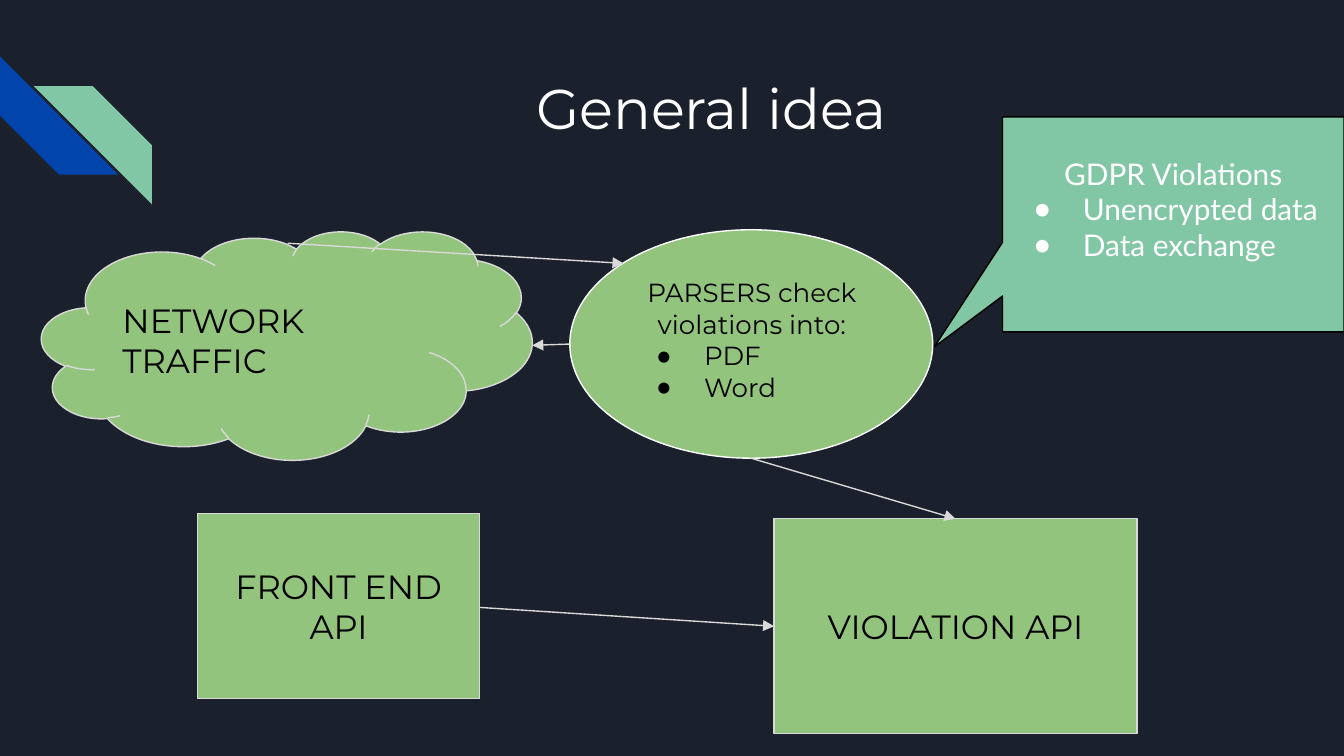
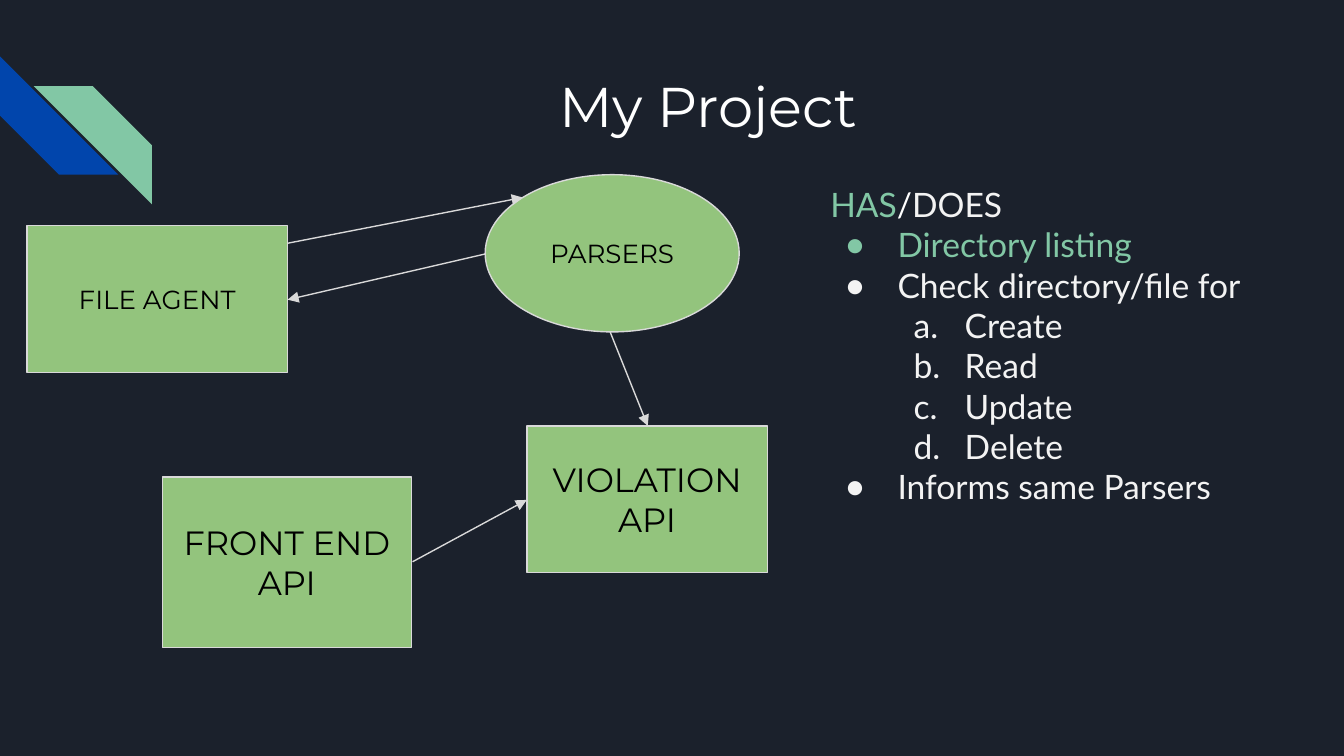
from lxml import etree
from pptx import Presentation
from pptx.dml.color import RGBColor
from pptx.enum.shapes import MSO_CONNECTOR, MSO_SHAPE
from pptx.enum.text import MSO_ANCHOR, PP_ALIGN
from pptx.oxml.ns import qn
from pptx.util import Inches, Pt

RECTANGLE, OVAL, CLOUD = MSO_SHAPE.RECTANGLE, MSO_SHAPE.OVAL, MSO_SHAPE.CLOUD
CALLOUT, STRIPE = MSO_SHAPE.RECTANGULAR_CALLOUT, MSO_SHAPE.DIAGONAL_STRIPE
STRAIGHT = MSO_CONNECTOR.STRAIGHT
LEFT, CENTER, JUSTIFY = PP_ALIGN.LEFT, PP_ALIGN.CENTER, PP_ALIGN.JUSTIFY
TOP, MIDDLE = MSO_ANCHOR.TOP, MSO_ANCHOR.MIDDLE

NIGHT, BLUE, MINT, GREEN = "1B212C", "0145AC", "82C7A5", "93C47D"
GREY, PALE, WHITE, BLACK = "D9D9D9", "F3F3F3", "FFFFFF", "000000"
HEADING_FONT, BODY_FONT = "Montserrat", "Lato"
DOT = ("a:buChar", {"char": "●"}, 87)
LETTER = ("a:buAutoNum", {"type": "alphaLcPeriod"}, 100)

STRIPES = [((0, 0.42), 270, BLUE), ((0.25, 0.64), 90, MINT)]


def line(*runs, color=BLACK, align=LEFT, margin=0, indent=0, bullet=None, level=0):
    """Describe one paragraph; a run is a string or a (string, colour) pair."""
    return dict(runs=runs, color=color, align=align, margin=margin,
                indent=indent, bullet=bullet, level=level)


def item(text, color, indent=-0.38, align=LEFT):
    """Describe a dotted list item."""
    return line(text, color=color, align=align, margin=0.5, indent=indent, bullet=DOT)


def step(text):
    """Describe a lettered sub-item."""
    return line(text, color=PALE, margin=1, indent=-0.38, bullet=LETTER, level=1)


def label(text):
    """Describe a centred caption."""
    return [line(text, align=CENTER)]


SLIDES = [
    dict(
        title=line("General idea", color=WHITE, margin=2, indent=0.5),
        title_box=(1.39, 0.45, 7.7, 1),
        nodes=[
            (CLOUD, (0.31, 1.72, 3.65, 1.7), GREY, 18, [line("NETWORK TRAFFIC")]),
            (OVAL, (4.24, 1.71, 2.7, 1.7), WHITE, 14, []),
            (RECTANGLE, (5.76, 3.86, 2.7, 1.6), GREY, 18, label("VIOLATION API")),
            (RECTANGLE, (1.47, 3.82, 2.1, 1.38), GREY, 18, label("FRONT END API")),
        ],
        arrows=[(2.14, 1.81, 4.64, 1.96), (4.24, 2.56, 3.96, 2.57),
                (3.57, 4.52, 5.76, 4.66), (5.59, 3.41, 7.11, 3.86)],
        text_box=(4.64, 1.96, 1.91, 1.06),
        text_style=(HEADING_FONT, 14),
        text=[
            line("PARSERS check", align=CENTER, indent=-0.12),
            line("violations into:", align=CENTER),
            item("PDF", BLACK, -0.35),
            item("Word", BLACK, -0.35),
        ],
        callout_box=(7.46, 0.87, 2.54, 1.6),
        callout=[
            line("GDPR Violations", color=WHITE, align=CENTER),
            item("Unencrypted data", WHITE, -0.36, JUSTIFY),
            item("Data exchange", WHITE, -0.36, JUSTIFY),
        ],
    ),
    dict(
        title=line("My Project", color=WHITE, align=CENTER),
        title_box=(1.42, 0.43, 7.7, 1),
        nodes=[
            (RECTANGLE, (0.2, 1.68, 1.94, 1.09), GREY, 14, label("FILE AGENT")),
            (OVAL, (3.61, 1.3, 1.89, 1.17), GREY, 14, label("PARSERS")),
            (RECTANGLE, (3.92, 3.17, 1.79, 1.09), GREY, 18, label("VIOLATION API")),
            (RECTANGLE, (1.21, 3.55, 1.85, 1.27), GREY, 18, label("FRONT END API")),
        ],
        arrows=[(3.07, 4.18, 3.92, 3.72), (4.54, 2.47, 4.82, 3.17),
                (3.61, 1.89, 2.14, 2.23), (2.14, 1.81, 3.89, 1.47)],
        text_box=(6.08, 1.27, 3.47, 2.67),
        text_style=(BODY_FONT, 18),
        text=[
            line(("HAS", MINT), ("/", WHITE), ("DOES", PALE)),
            item("Directory listing", MINT),
            item("Check directory/file for", PALE),
            *[step(action) for action in ("Create", "Read", "Update", "Delete")],
            item("Informs same Parsers", PALE),
        ],
    ),
]


def rgb(value):
    """Turn a hex string into a colour."""
    return RGBColor.from_string(value)


def inches(values):
    """Turn numbers into lengths."""
    return [Inches(value) for value in values]


def add_bullet(properties, bullet, color):
    """Give a paragraph a coloured bullet or letter."""
    tag, attributes, percent = bullet
    bullet_color = etree.SubElement(properties, qn("a:buClr"))
    etree.SubElement(bullet_color, qn("a:srgbClr"), val=color)
    etree.SubElement(properties, qn("a:buSzPct"), val=str(percent * 1000))
    etree.SubElement(properties, qn("a:buFont"), typeface=BODY_FONT)
    etree.SubElement(properties, qn(tag), attributes)


def write(shape, lines, font, size, anchor=TOP, bottom=0.1):
    """Fill a shape with described paragraphs."""
    frame = shape.text_frame
    frame.word_wrap = True
    frame.vertical_anchor = anchor
    frame.margin_left = frame.margin_right = frame.margin_top = Inches(0.1)
    frame.margin_bottom = Inches(bottom)
    for index, content in enumerate(lines):
        paragraph = frame.add_paragraph() if index else frame.paragraphs[0]
        paragraph.alignment = content["align"]
        paragraph.level = content["level"]
        properties = paragraph._p.get_or_add_pPr()
        properties.set("marL", str(Inches(content["margin"])))
        properties.set("indent", str(Inches(content["indent"])))
        if content["bullet"]:
            add_bullet(properties, content["bullet"], content["color"])
        paragraph.font.name = font
        paragraph.font.size = Pt(size)
        paragraph.font.color.rgb = rgb(content["color"])
        for part in content["runs"]:
            text, color = part if isinstance(part, tuple) else (part, content["color"])
            run = paragraph.add_run()
            run.text = text
            run.font.color.rgb = rgb(color)


def add_shape(slide, kind, box, fill, outline=None):
    """Draw a flat preset shape."""
    shape = slide.shapes.add_shape(kind, *inches(box))
    shape.shadow.inherit = False
    shape.fill.solid()
    shape.fill.fore_color.rgb = rgb(fill)
    if outline:
        shape.line.color.rgb = rgb(outline)
        shape.line.width = Pt(0.75)
    else:
        shape.line.fill.background()
    return shape


def add_text(slide, box, lines, font, size):
    """Place a text box."""
    write(slide.shapes.add_textbox(*inches(box)), lines, font, size)


def add_arrow(slide, ends):
    """Draw a thin line ending in a triangle."""
    connector = slide.shapes.add_connector(STRAIGHT, *inches(ends))
    connector.line.color.rgb = rgb(GREY)
    connector.line.width = Pt(0.75)
    properties = connector._element.spPr
    etree.SubElement(properties.find(qn("a:ln")), qn("a:tailEnd"), type="triangle")
    etree.SubElement(properties, qn("a:effectLst"))


def add_frame(slide, content):
    """Draw the background, corner stripes and title."""
    slide.background.fill.solid()
    slide.background.fill.fore_color.rgb = rgb(NIGHT)
    for corner, rotation, color in STRIPES:
        stripe = add_shape(slide, STRIPE, (*corner, 0.88, 0.88), color)
        stripe.rotation = rotation
    add_text(slide, content["title_box"], [content["title"]], HEADING_FONT, 30)


def build_slide(presentation, content):
    """Build one diagram slide."""
    slide = presentation.slides.add_slide(presentation.slide_layouts[6])
    add_frame(slide, content)
    for kind, box, outline, size, lines in content["nodes"]:
        node = add_shape(slide, kind, box, GREEN, outline)
        write(node, lines, HEADING_FONT, size, MIDDLE)
    for ends in content["arrows"]:
        add_arrow(slide, ends)
    add_text(slide, content["text_box"], content["text"], *content["text_style"])
    if "callout" in content:
        callout = add_shape(slide, CALLOUT, content["callout_box"], MINT, BLACK)
        callout.adjustments[0], callout.adjustments[1] = -0.7, 0.57
        write(callout, content["callout"], BODY_FONT, 16, MIDDLE, bottom=0.33)


def main():
    """Build and save the presentation."""
    presentation = Presentation()
    presentation.slide_width = Inches(10)
    presentation.slide_height = Inches(10) * 9 // 16
    for content in SLIDES:
        build_slide(presentation, content)
    presentation.save("out.pptx")


if __name__ == "__main__":
    main()
